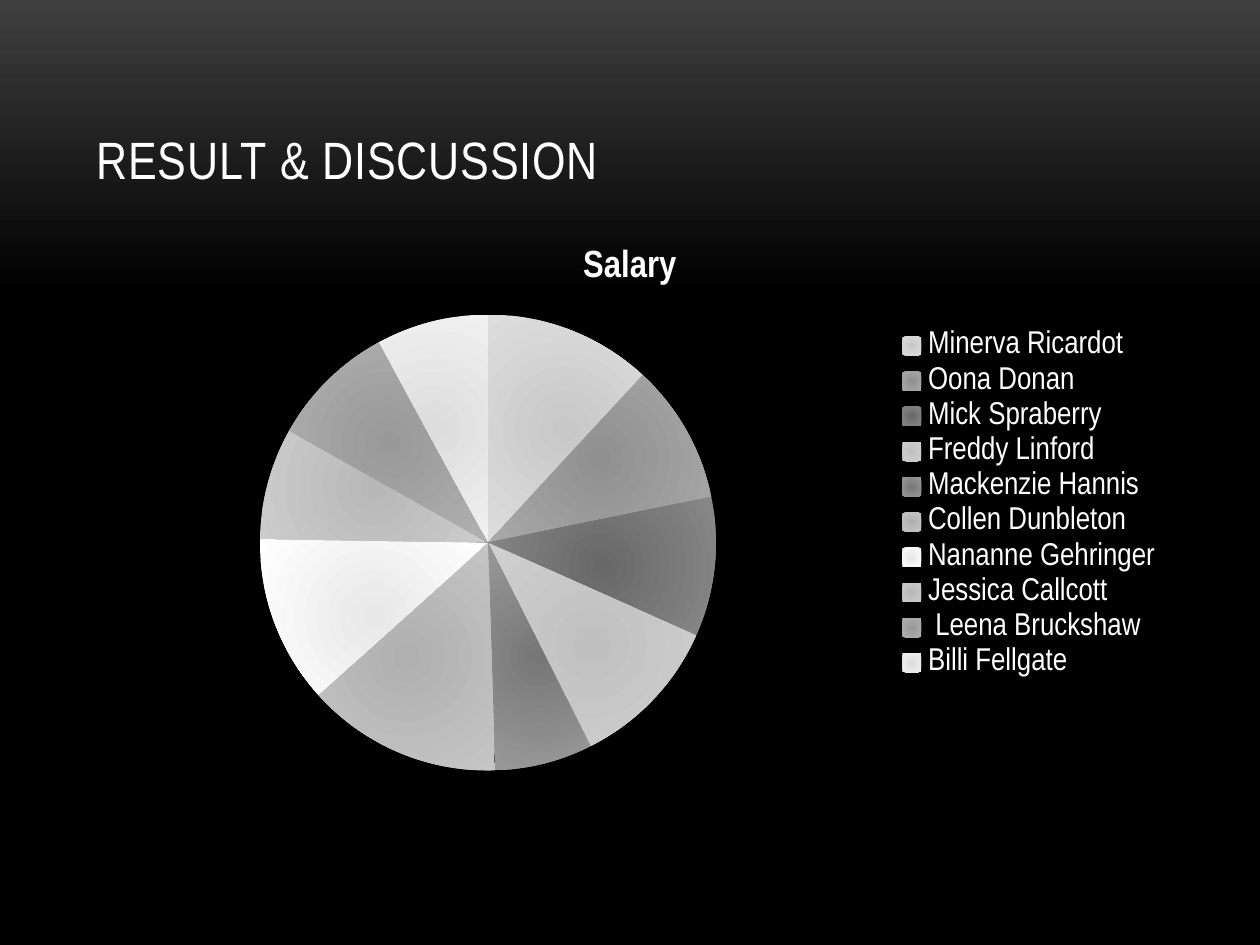
from pptx import Presentation
from pptx.chart.data import CategoryChartData
from pptx.dml.color import RGBColor
from pptx.enum.chart import XL_CHART_TYPE, XL_LEGEND_POSITION
from pptx.enum.text import MSO_ANCHOR
from pptx.oxml import parse_xml
from pptx.oxml.ns import nsdecls, qn
from pptx.util import Pt

PX = 914400 // 126
SLIDE_WIDTH, SLIDE_HEIGHT = 9144000, 6858000
FONT = "Arial Narrow"
WHITE = RGBColor(0xFF, 0xFF, 0xFF)
BLACK = RGBColor(0x00, 0x00, 0x00)
CHARCOAL = RGBColor(0x3F, 0x3F, 0x3F)

# Name, salary, grey level at the centre and at the rim of the slice
SALARIES = [
    ("Minerva Ricardot", 12, 0xC8, 0xDD),
    ("Oona Donan", 10, 0x90, 0xA9),
    ("Mick Spraberry", 10, 0x68, 0x88),
    ("Freddy Linford", 11, 0xC0, 0xD0),
    ("Mackenzie Hannis", 7, 0x77, 0x99),
    ("Collen Dunbleton", 14, 0xB0, 0xC5),
    ("Nananne Gehringer", 12, 0xE8, 0xFF),
    ("Jessica Callcott", 8, 0xB8, 0xCC),
    (" Leena Bruckshaw", 9, 0x99, 0xB0),
    ("Billi Fellgate", 8, 0xDD, 0xF0),
]


def px(*lengths):
    return [length * PX for length in lengths]


def set_gradient(fill, start, end, end_position=1.0):
    fill.gradient()
    first, last = fill.gradient_stops
    first.color.rgb, last.color.rgb = start, end
    first.position, last.position = 0, end_position


def format_font(font, size, bold=False, color=WHITE):
    font.name, font.size, font.bold = FONT, Pt(size), bold
    font.color.rgb = color


def add_text(slide, text, box, size, anchor=MSO_ANCHOR.TOP, spacing=0):
    shape = slide.shapes.add_textbox(*px(*box))
    frame = shape.text_frame
    frame.word_wrap = True
    frame.vertical_anchor = anchor
    run = frame.paragraphs[0].add_run()
    run.text = text
    format_font(run.font, size)
    for properties in shape.element.iter(qn("a:rPr")):
        properties.set("spc", str(round(spacing * 100)))


def make_gradients_radial(chart):
    for linear in list(chart.element.iter(qn("a:lin"))):
        radial = parse_xml(
            f'<a:path {nsdecls("a")} path="circle">'
            '<a:fillToRect l="50000" t="50000" r="50000" b="50000"/></a:path>'
        )
        linear.getparent().replace(linear, radial)


def add_salary_pie(slide, box):
    data = CategoryChartData()
    data.categories = [name for name, *_ in SALARIES]
    data.add_series("Salary", [salary for _, salary, *_ in SALARIES])
    chart = slide.shapes.add_chart(XL_CHART_TYPE.PIE, *px(*box), data).chart
    format_font(chart.font, 18)

    # Title and legend
    chart.has_title = True
    title = chart.chart_title.text_frame
    title.text = "Salary"
    format_font(title.paragraphs[0].runs[0].font, 21.6, bold=True)
    chart.has_legend = True
    chart.legend.position = XL_LEGEND_POSITION.RIGHT
    chart.legend.include_in_layout = False

    # Slices
    plot = chart.plots[0]
    plot.vary_by_categories = True
    for index, (_, _, centre, rim) in enumerate(SALARIES):
        slice_format = plot.series[0].points[index].format
        set_gradient(slice_format.fill, RGBColor(*[centre] * 3), RGBColor(*[rim] * 3))
        slice_format.line.fill.background()
    make_gradients_radial(chart)


def main():
    presentation = Presentation()
    presentation.slide_width = SLIDE_WIDTH
    presentation.slide_height = SLIDE_HEIGHT
    slide = presentation.slides.add_slide(presentation.slide_layouts[6])

    # Background fades from charcoal at the top to black
    background = slide.background.fill
    set_gradient(background, CHARCOAL, BLACK, end_position=0.31)
    background.gradient_angle = 270

    add_text(slide, "RESULT & DISCUSSION", (84, 38, 1092, 158), 30,
             anchor=MSO_ANCHOR.BOTTOM, spacing=0.5)
    add_salary_pie(slide, (84, 221, 1092, 567))
    presentation.save("out.pptx")


if __name__ == "__main__":
    main()
